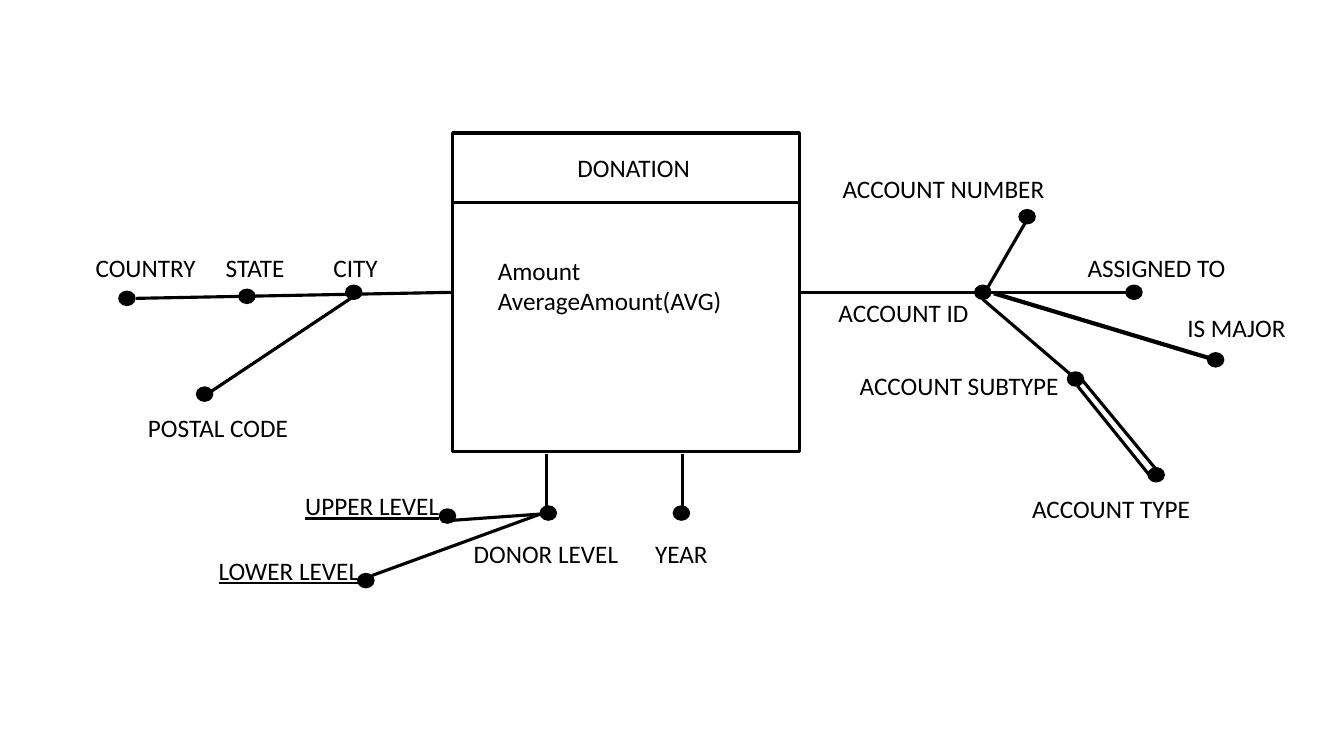
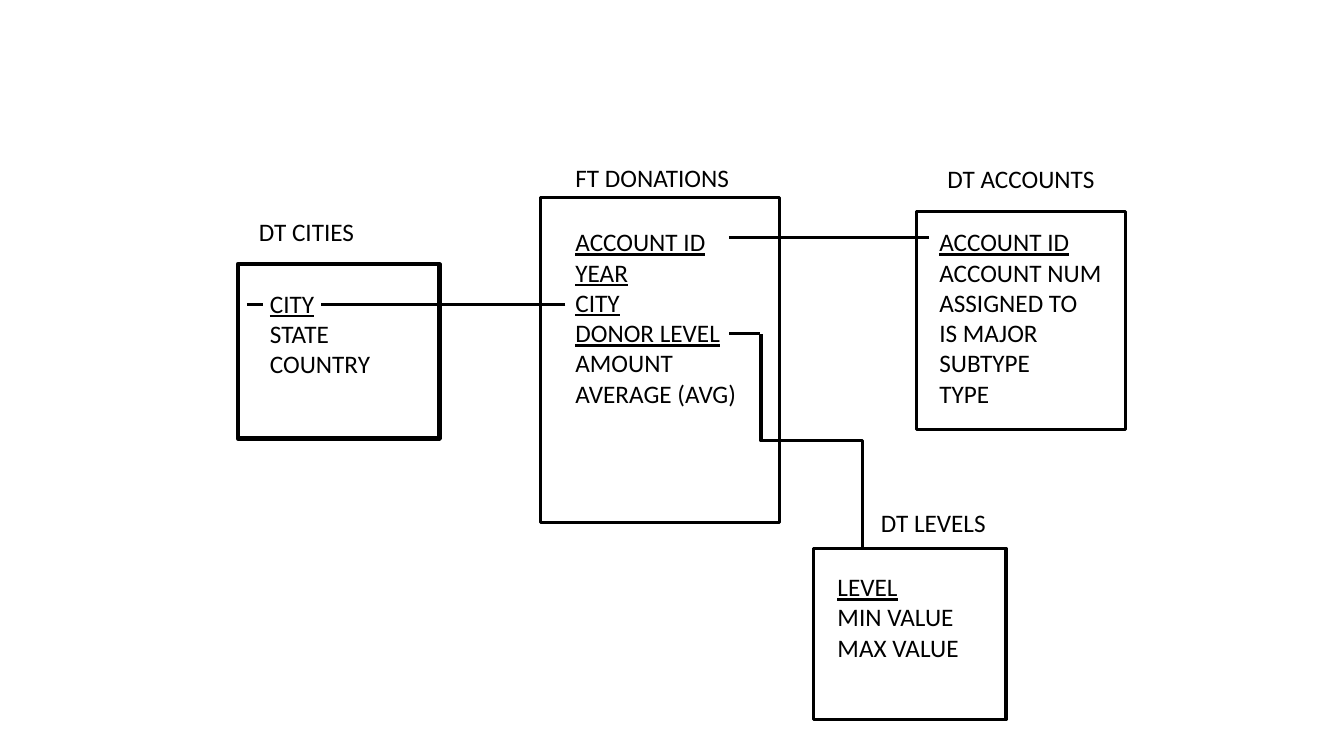
import pptx
import pptx.util
import pptx.dml.color
import pptx.enum.shapes
import pptx.enum.text
import pptx.oxml.ns
import lxml.etree

BLACK = pptx.dml.color.RGBColor(0, 0, 0)
FONT = "Calibri"
TEXT_SIZE = pptx.util.Pt(18)
RULE = 2.25
BOLD_RULE = 3
COLUMNS, ROWS = 133.33, 75
LINE_ROWS, PADDING_ROWS = 3.03, 1
DOT_WIDTH, DOT_HEIGHT = 1.6, 1.4
PRESETS = pptx.enum.shapes.MSO_SHAPE
CONNECTORS = pptx.enum.shapes.MSO_CONNECTOR


def cells(*counts):
    return [pptx.util.Inches(count / 10) for count in counts]


def outline(shape, weight):
    shape.line.color.rgb = BLACK
    shape.line.width = pptx.util.Pt(weight)


def entity(slide, left, top, width, height, weight=RULE):
    frame = slide.shapes.add_shape(PRESETS.RECTANGLE, *cells(left, top, width, height))
    frame.shadow.inherit = False
    frame.fill.background()
    outline(frame, weight)


def dot(slide, left, top):
    mark = slide.shapes.add_shape(PRESETS.OVAL, *cells(left, top, DOT_WIDTH, DOT_HEIGHT))
    mark.shadow.inherit = False
    mark.fill.solid()
    mark.fill.fore_color.rgb = BLACK
    outline(mark, 1)


def label(slide, left, top, width, lines, keys=0, wrap=False):
    height = PADDING_ROWS + LINE_ROWS * len(lines)
    box = slide.shapes.add_textbox(*cells(left, top, width, height))
    frame = box.text_frame
    frame.word_wrap = wrap
    frame.auto_size = pptx.enum.text.MSO_AUTO_SIZE.SHAPE_TO_FIT_TEXT
    frame.text = "\n".join(lines)
    for position, paragraph in enumerate(frame.paragraphs):
        paragraph.font.name = FONT
        paragraph.font.size = TEXT_SIZE
        paragraph.font.color.rgb = BLACK
        paragraph.font.underline = position < keys


def link(slide, x1, y1, x2, y2, weight=RULE, kind=CONNECTORS.STRAIGHT):
    joint = slide.shapes.add_connector(kind, *cells(x1, y1, x2, y2))
    outline(joint, weight)
    properties = joint._element.spPr
    lxml.etree.SubElement(properties, pptx.oxml.ns.qn("a:effectLst"))
    return joint


def upward_elbow(slide, x1, y1, x2, y2):
    middle_x, middle_y = (x1 + x2) / 2, (y1 + y2) / 2
    reach, rise = abs(y2 - y1) / 2, abs(x2 - x1) / 2
    joint = link(slide, middle_x - reach, middle_y + rise,
                 middle_x + reach, middle_y - rise, kind=CONNECTORS.ELBOW)
    transform = joint._element.spPr.find(pptx.oxml.ns.qn("a:xfrm"))
    transform.set("rot", str(270 * 60000))


def fact_schema(slide):
    entity(slide, 44.9, 13.2, 34.4, 31.6)
    links = [
        (44.9, 20.1, 79.3, 20.1),
        (67.7, 45, 67.7, 51),
        (54.2, 45, 54.2, 51),
        (79.3, 29, 113.3, 29),
        (97.6, 29.2, 102, 21.6),
        (98.6, 29.1, 121.2, 35.9, BOLD_RULE),
        (97.5, 29.7, 106.5, 37.4),
        (106.9, 38.3, 114.4, 47.6),
        (107.2, 37.5, 114.8, 46.7),
        (44.9, 29, 13.5, 29.6),
        (34.8, 29.6, 20.7, 39),
        (53.6, 51, 43.8, 51.7),
        (53.6, 51, 36.9, 57.1),
    ]
    for ends in links:
        link(slide, *ends)

    attributes = [
        ("ACCOUNT ID", (96.7, 28.3), (82.2, 29, 15)),
        ("ACCOUNT NUMBER", (101.1, 20.8), (82.6, 16.7, 22.2)),
        ("ASSIGNED TO", (111.7, 28.3), (106.9, 24.5, 15.8)),
        ("IS MAJOR", (119.8, 35), (116.8, 30.5, 11.9)),
        ("ACCOUNT SUBTYPE", (105.9, 36.9), (84.3, 36.2, 21.9)),
        ("ACCOUNT TYPE", (113.9, 46.4), (101.4, 48.4, 17.8)),
        ("CITY", (34.3, 28.3), (32.1, 24.5, 6.5)),
        ("STATE", (23.7, 28.7), (21.4, 24.5, 7.9)),
        ("COUNTRY", (11.8, 28.9), (8.5, 24.5, 12)),
        ("POSTAL CODE", (19.5, 38.4), (13.7, 40.4, 16)),
        ("DONOR LEVEL", (53.6, 50.2), (46, 52.9, 16.5)),
        ("YEAR", (66.8, 50.2), (64, 52.9, 7.3)),
        ("UPPER LEVEL", (43.6, 50.5), (29.3, 48.2, 15.4)),
        ("LOWER LEVEL", (35.5, 56.9), (20.7, 54.6, 16.1)),
    ]
    for name, dot_place, label_place in attributes:
        dot(slide, *dot_place)
        label(slide, *label_place, [name], keys=int(name in ("UPPER LEVEL", "LOWER LEVEL")),
              wrap=name == "YEAR")

    label(slide, 56.3, 14.6, 13.3, ["DONATION"])
    label(slide, 48.4, 24.8, 24.4, ["Amount", "AverageAmount(AVG)"])


def star_schema(slide):
    tables = [
        ("FT DONATIONS", (56.1, 15.6, 17.4), (53.6, 19.6, 23.7, 32.2), (56.1, 22, 18.1),
         ["ACCOUNT ID", "YEAR", "CITY", "DONOR LEVEL", "AMOUNT", "AVERAGE (AVG)"], 4),
        ("DT ACCOUNTS", (93, 15.7, 16.8), (90.9, 21, 20.8, 21.6), (92.2, 22, 18.2),
         ["ACCOUNT ID", "ACCOUNT NUM", "ASSIGNED TO", "IS MAJOR", "SUBTYPE", "TYPE"], 1),
        ("DT CITIES", (24.7, 21, 11.6), (23.6, 26.2, 20, 17.3, BOLD_RULE), (25.8, 28.1, 12),
         ["CITY", "STATE", "COUNTRY"], 1),
        ("DT LEVELS", (86.4, 49.8, 12.5), (80.7, 54.4, 19.1, 17), (82.1, 56.2, 14.2),
         ["LEVEL", "MIN VALUE", "MAX VALUE"], 1),
    ]
    for name, name_place, frame_place, fields_place, fields, keys in tables:
        entity(slide, *frame_place)
        label(slide, *name_place, [name])
        label(slide, *fields_place, fields, keys)

    for ends in [(72.3, 23.6, 92.2, 23.6), (56.1, 30.2, 31.8, 30.2),
                 (75.4, 33.1, 72.3, 33.1), (24.5, 30.2, 26.1, 30.2)]:
        link(slide, *ends)
    upward_elbow(slide, 85.6, 54.4, 75.5, 33.1)


def main():
    deck = pptx.Presentation()
    deck.slide_width, deck.slide_height = cells(COLUMNS, ROWS)
    blank = deck.slide_layouts[6]
    for draw in (fact_schema, star_schema):
        draw(deck.slides.add_slide(blank))
    deck.save("out.pptx")


main()
